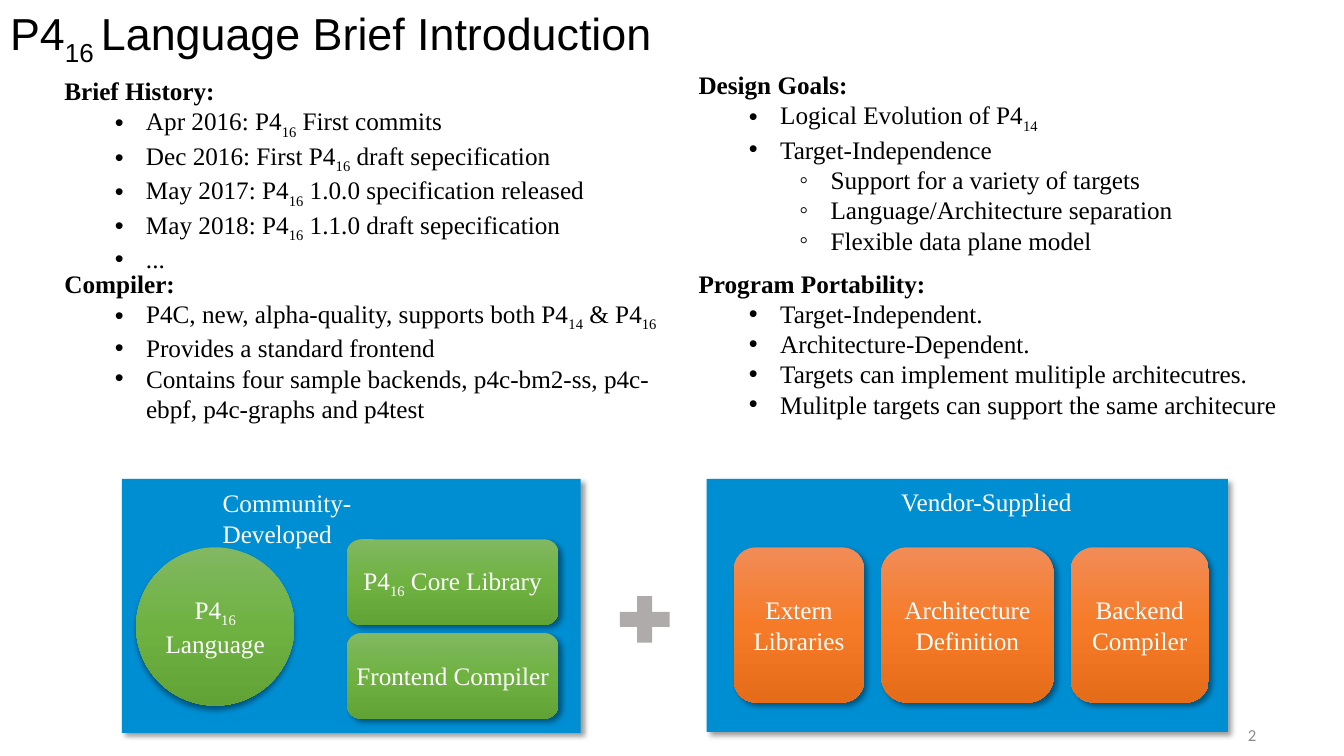
from lxml.etree import SubElement
from pptx import Presentation
from pptx.dml.color import RGBColor
from pptx.enum.shapes import MSO_SHAPE as Preset
from pptx.enum.text import MSO_ANCHOR as Anchor, MSO_AUTO_SIZE as AutoSize, PP_ALIGN as Align
from pptx.oxml.ns import qn
from pptx.util import Inches, Pt

SERIF = "Times New Roman"
BLUE = "008ED3"
GREENS = ["81B861", "6FB242", "62A336"]
ORANGES = ["F18C57", "F67B28", "E56C19"]
BULLETS = ["", "•", "◦"]


def colour(value):
    """Turn a hex string into a colour."""
    return RGBColor.from_string(value)


def add_spans(para, text, size=18, font=SERIF, hue="000000", bold=False):
    """Add text run by run, with the parts between tildes as subscripts."""
    for index, part in enumerate(text.split("~")):
        if not part:
            continue
        span = para.add_run()
        span.text = part
        span.font.size = Pt(size)
        span.font.name = font
        span.font.bold = bold
        span.font.color.rgb = colour(hue)
        if index % 2:
            span.font._element.set("baseline", "-25000")


def add_label(page, box, text, align=Align.LEFT, **style):
    """Place a one-paragraph text box."""
    label = page.shapes.add_textbox(*map(Inches, box))
    label.text_frame.word_wrap = True
    para = label.text_frame.paragraphs[0]
    para.alignment = align
    add_spans(para, text, **style)


def add_title(page, box, text):
    """Move and format the title placeholder."""
    title = page.shapes.title
    title.left, title.top, title.width, title.height = map(Inches, box)
    frame = title.text_frame
    frame.auto_size = AutoSize.NONE
    frame.vertical_anchor = Anchor.TOP
    para = frame.paragraphs[0]
    para.alignment = Align.LEFT
    add_spans(para, text, size=32, font="Arial")


def add_outline(page, box, heading, items):
    """Place a bold heading above bulleted items, each a level and its text."""
    frame = page.shapes.add_textbox(*map(Inches, box)).text_frame
    frame.word_wrap = True
    add_spans(frame.paragraphs[0], heading, bold=True)
    for level, text in items:
        para = frame.add_paragraph()
        para.level = level
        properties = para._p.get_or_add_pPr()
        properties.set("marL", str(Inches(0.31 + 0.5 * level)))
        properties.set("indent", str(-Inches(0.31)))
        SubElement(properties, qn("a:buFont")).set("typeface", "Arial")
        SubElement(properties, qn("a:buChar")).set("char", BULLETS[level])
        add_spans(para, text)


def add_shadow(shape, angle):
    """Give a shape a soft outer shadow."""
    effects = shape._element.spPr.find(qn("a:effectLst"))
    shadow = SubElement(effects, qn("a:outerShdw"), blurRad=str(Pt(4)), dist=str(Pt(3)),
                        dir=str(angle * 60000), algn="t", rotWithShape="0")
    black = SubElement(shadow, qn("a:srgbClr"), val="000000")
    SubElement(black, qn("a:alpha"), val="40000")


def fill_gradient(shape, hues):
    """Fill a shape from top to bottom with evenly spaced colours."""
    shape.fill.gradient()
    gradient = shape._element.spPr.find(qn("a:gradFill"))
    for child in list(gradient):
        gradient.remove(child)
    stops = SubElement(gradient, qn("a:gsLst"))
    for index, hue in enumerate(hues):
        stop = SubElement(stops, qn("a:gs"), pos=str(index * 100000 // (len(hues) - 1)))
        SubElement(stop, qn("a:srgbClr"), val=hue)
    SubElement(gradient, qn("a:lin"), ang="5400000", scaled="0")


def add_plain(page, preset, box, hue=None):
    """Place a shape without line or shadow."""
    shape = page.shapes.add_shape(preset, *map(Inches, box))
    shape.shadow.inherit = False
    shape.line.fill.background()
    if hue:
        shape.fill.solid()
        shape.fill.fore_color.rgb = colour(hue)
    return shape


def add_block(page, preset, box, hues, lines, angle=45):
    """Place a gradient block with centred white text."""
    block = add_plain(page, preset, box)
    fill_gradient(block, hues)
    add_shadow(block, angle)
    frame = block.text_frame
    frame.word_wrap = True
    frame.vertical_anchor = Anchor.MIDDLE
    frame.margin_left = frame.margin_right = Inches(0.05)
    for index, line in enumerate(lines):
        para = frame.add_paragraph() if index else frame.paragraphs[0]
        para.alignment = Align.CENTER
        add_spans(para, line, hue="FFFFFF")


def add_community(page, box):
    """Draw the community-developed panel."""
    left, top, width, height = box
    add_shadow(add_plain(page, Preset.RECTANGLE, box, BLUE), 45)
    add_label(page, (left + 0.9, top + 0.04, 2.3, 0.7), "Community-Developed", hue="FFFFFF")
    add_block(page, Preset.OVAL, (left + 0.14, top + 0.68, 1.57, 1.57), GREENS,
              ["P4~16~", "Language"], angle=90)
    for row, name in enumerate(["P4~16~ Core Library", "Frontend Compiler"]):
        add_block(page, Preset.ROUNDED_RECTANGLE,
                  (left + 2.23, top + 0.6 + 0.93 * row, 2.1, 0.85), GREENS, [name])


def add_vendor(page, box):
    """Draw the vendor-supplied panel."""
    left, top, width, height = box
    add_shadow(add_plain(page, Preset.RECTANGLE, box, BLUE), 45)
    add_label(page, (left + 1.83, top + 0.03, 1.95, 0.4), "Vendor-Supplied", hue="FFFFFF")
    blocks = [(0.27, 1.29, ["Extern", "Libraries"]),
              (1.73, 1.71, ["Architecture", "Definition"]),
              (3.61, 1.37, ["Backend", "Compiler"])]
    for offset, block_width, lines in blocks:
        add_block(page, Preset.ROUNDED_RECTANGLE,
                  (left + offset, top + 0.68, block_width, 1.54), ORANGES, lines)


def main():
    """Build and save the slide."""
    deck = Presentation()
    deck.slide_width, deck.slide_height = Inches(13.33), Inches(7.5)
    page = deck.slides.add_slide(deck.slide_layouts[5])
    add_title(page, (0, 0.01, 6.8, 0.64), "P4~16 ~Language Brief Introduction")
    add_outline(page, (0.54, 0.7, 5.6, 1.92), "Brief History:", [
        (1, "Apr 2016: P4~16~ First commits"),
        (1, "Dec 2016: First P4~16~ draft sepecification"),
        (1, "May 2017: P4~16~ 1.0.0 specification released"),
        (1, "May 2018: P4~16~ 1.1.0 draft sepecification"),
        (1, "...")])
    add_outline(page, (6.83, 0.64, 5.2, 1.92), "Design Goals:", [
        (1, "Logical Evolution of P4~14~"),
        (1, "Target-Independence"),
        (2, "Support for a variety of targets"),
        (2, "Language/Architecture separation"),
        (2, "Flexible data plane model")])
    add_outline(page, (0.54, 2.61, 6.29, 1.61), "Compiler:", [
        (1, "P4C, new, alpha-quality, supports both P4~14~ & P4~16~"),
        (1, "Provides a standard frontend"),
        (1, "Contains four sample backends, p4c-bm2-ss, p4c-ebpf, p4c-graphs and p4test")])
    add_outline(page, (6.83, 2.61, 6.12, 1.61), "Program Portability:", [
        (1, "Target-Independent."),
        (1, "Architecture-Dependent."),
        (1, "Targets can implement mulitiple architecutres."),
        (1, "Mulitple targets can support the same architecure")])
    add_community(page, (1.21, 4.75, 4.55, 2.52))
    add_plain(page, Preset.MATH_PLUS, (6.06, 5.83, 0.67, 0.63), "AFABAB")
    add_vendor(page, (7.01, 4.75, 5.17, 2.51))
    add_label(page, (9.56, 7.14, 3, 0.3), "2", Align.RIGHT, size=12, font="Calibri", hue="8C8C8C")
    deck.save("out.pptx")


if __name__ == "__main__":
    main()
